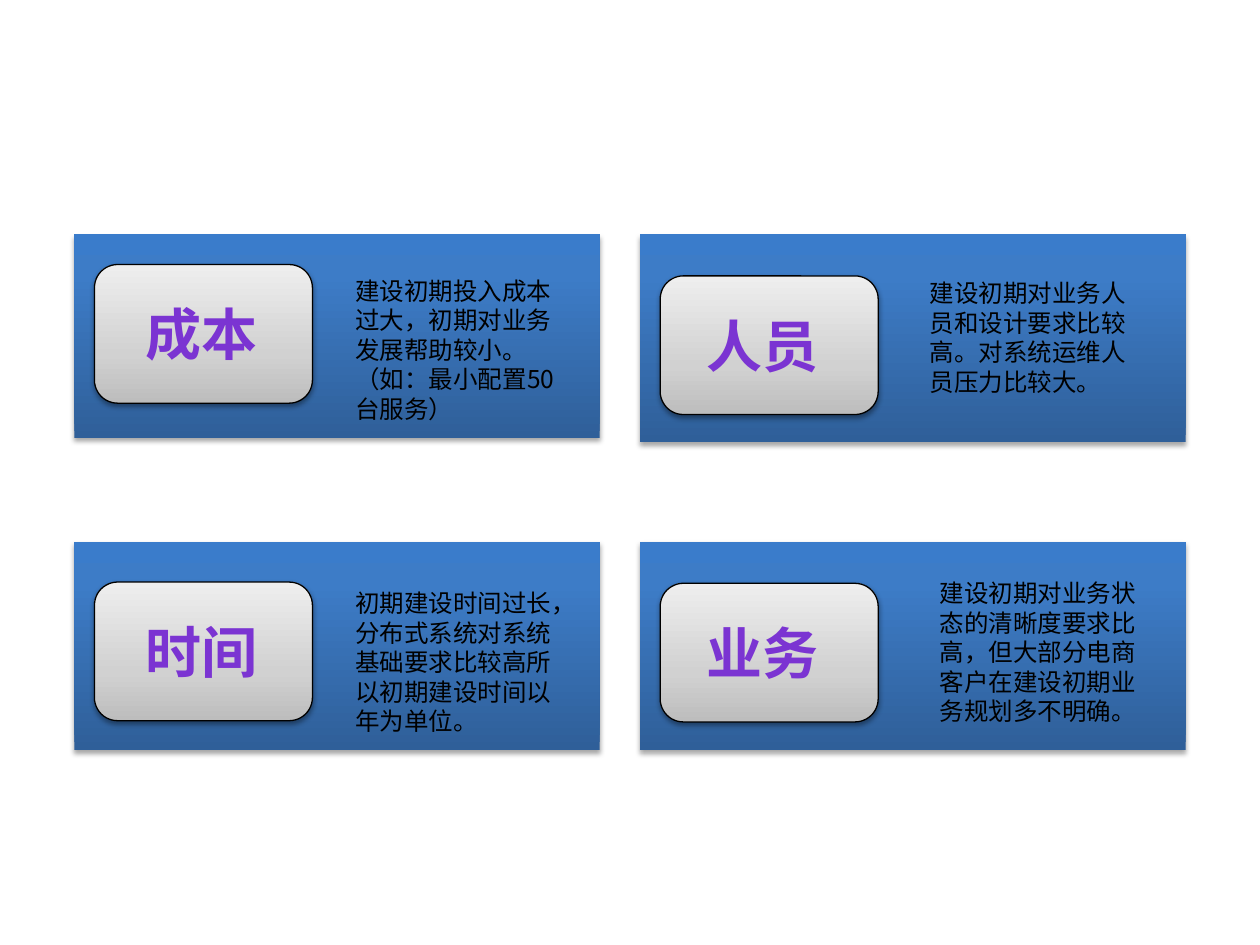
from dataclasses import dataclass

from lxml import etree
from pptx import Presentation
from pptx.dml.color import RGBColor
from pptx.enum import shapes, text
from pptx.oxml import ns
from pptx.util import Inches, Pt


@dataclass(frozen=True)
class Theme:
    font: str = "Noto Sans CJK SC"
    head: int = 32
    body: int = 14
    ink: str = "000000"
    edge: str = "5E457C"
    blue: tuple = ((0, "2F5F99"), (80, "3D7CC7"), (100, "3A7CCB"))
    grey: tuple = ((0, "BDBDBD"), (35, "D1D1D1"), (100, "EEEEEE"))
    plum: tuple = ((0, "3D1B67"), (43, "7B34D2"), (48, "7330C4"), (100, "3D1B67"))


THEME = Theme()

# Panel columns (left, width) and rows (top)
COLS = ((0.59, 4.17), (5.08, 4.33))
ROWS = (1.86, 4.3)

# Column, row, panel height, badge drop, title inset, note box, title, note
CARDS = (
    (0, 0, 1.62, 0.24, 0.47, (2.13, 0.28, 1.28), "成本",
     "建设初期投入成本过大，初期对业务发展帮助较小。（如：最小配置50台服务）"),
    (1, 0, 1.65, 0.33, 0.43, (2.2, 0.3, 1.04), "人员",
     "建设初期对业务人员和设计要求比较高。对系统运维人员压力比较大。"),
    (0, 1, 1.65, 0.32, 0.47, (2.13, 0.32, 1.28), "时间",
     "初期建设时间过长，分布式系统对系统基础要求比较高所以初期建设时间以年为单位。"),
    (1, 1, 1.65, 0.33, 0.43, (2.28, 0.24, 1.28), "业务",
     "建设初期对业务状态的清晰度要求比高，但大部分电商客户在建设初期业务规划多不明确。"),
)


def node(root, tag, **attrs):
    """Append a DrawingML element."""
    return etree.SubElement(root, ns.qn("a:" + tag),
                            {key: str(val) for key, val in attrs.items()})


def blend(root, stops, angle):
    """Append a linear gradient of any number of stops."""
    grad = node(root, "gradFill", rotWithShape=1)
    items = node(grad, "gsLst")
    for pos, color in stops:
        node(node(items, "gs", pos=pos * 1000), "srgbClr", val=color)
    node(grad, "lin", ang=angle * 60000, scaled=0)


def add_block(slide, kind, box, stops, alpha, drop, line=None):
    """Place a gradient block with a soft shadow below it."""
    block = slide.shapes.add_shape(kind, *map(Inches, box))
    blend(block._element.spPr, stops, 270)
    if line:
        block.line.color.rgb = RGBColor.from_string(line)
        block.line.width = Pt(0.75)
    else:
        block.line.fill.background()
    block.shadow.inherit = False
    effect = block._element.spPr.find(ns.qn("a:effectLst"))
    shade = node(effect, "outerShdw", blurRad=Pt(3.1), dist=Pt(drop),
                 dir=90 * 60000, algn="ctr", rotWithShape=0)
    node(node(shade, "srgbClr", val="000000"), "alpha", val=alpha * 1000)


def add_text(slide, box, words):
    """Place a wrapping text box and return its run."""
    frame = slide.shapes.add_textbox(*map(Inches, box)).text_frame
    frame.word_wrap = True
    frame.auto_size = text.MSO_AUTO_SIZE.SHAPE_TO_FIT_TEXT
    run = frame.paragraphs[0].add_run()
    run.text = words
    return run


def set_face(font, size):
    font.size = Pt(size)
    font.name = THEME.font
    node(font._element, "ea", typeface=THEME.font)


def add_title(slide, box, words):
    """Place a bold, outlined gradient title."""
    font = add_text(slide, box, words).font
    font.bold = True
    # Outline and fill come before the typefaces
    props = font._element
    edge = node(props, "ln", w=Pt(0.71))
    node(node(edge, "solidFill"), "srgbClr", val=THEME.edge)
    blend(props, THEME.plum, 90)
    set_face(font, THEME.head)


def add_note(slide, box, words):
    font = add_text(slide, box, words).font
    font.color.rgb = RGBColor.from_string(THEME.ink)
    set_face(font, THEME.body)


def add_card(slide, box, drop, inset, note, title, words):
    """Place a panel with its badge, title and note."""
    left, top, _, _ = box
    kinds = shapes.MSO_SHAPE
    add_block(slide, kinds.RECTANGLE, box, THEME.blue, 35, 1.8)
    add_block(slide, kinds.ROUNDED_RECTANGLE, (left + 0.16, top + drop, 1.73, 1.1),
              THEME.grey, 38, 1.6, THEME.ink)
    add_title(slide, (left + inset, top + drop + 0.23, 1.65, 0.64), title)
    across, down, tall = note
    add_note(slide, (left + across, top + down, 1.81, tall), words)


def main():
    deck = Presentation()
    deck.slide_width, deck.slide_height = Inches(10), Inches(7.5)
    slide = deck.slides.add_slide(deck.slide_layouts[6])
    for col, row, high, *parts in CARDS:
        left, wide = COLS[col]
        add_card(slide, (left, ROWS[row], wide, high), *parts)
    deck.save("out.pptx")


if __name__ == "__main__":
    main()
